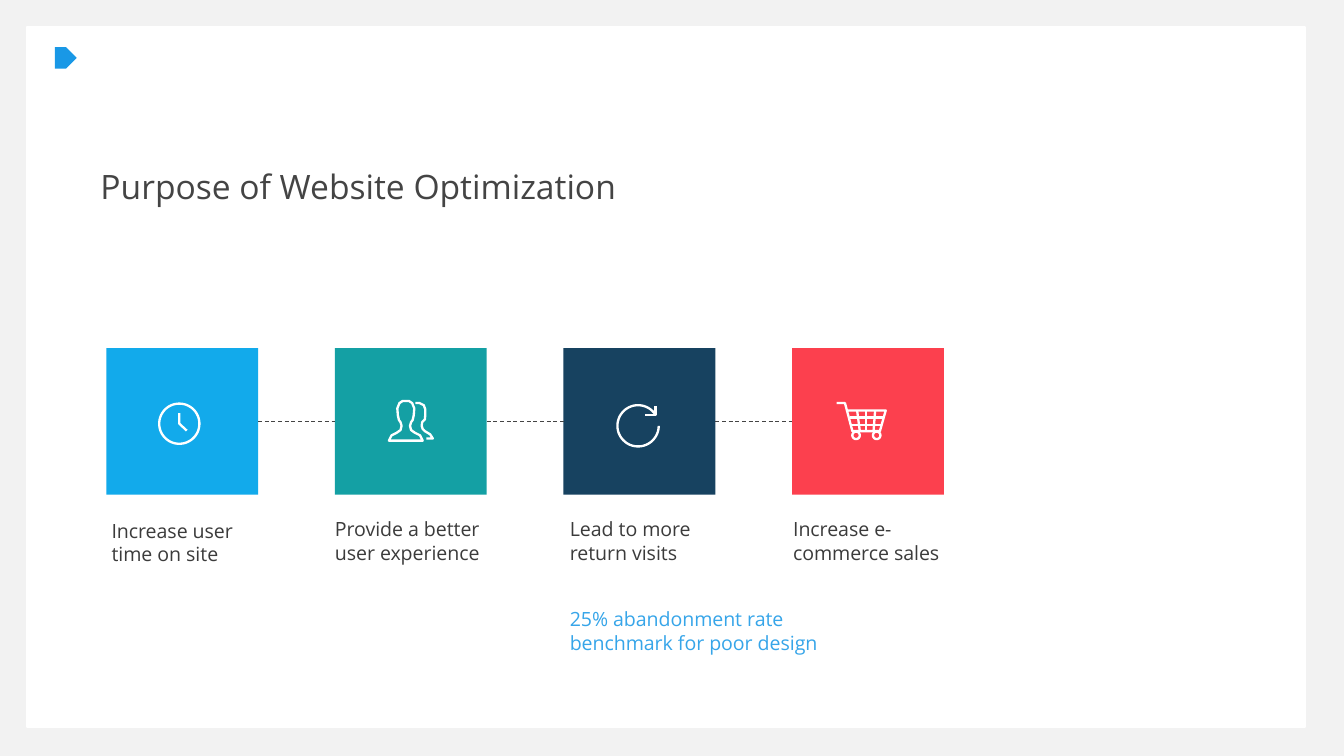
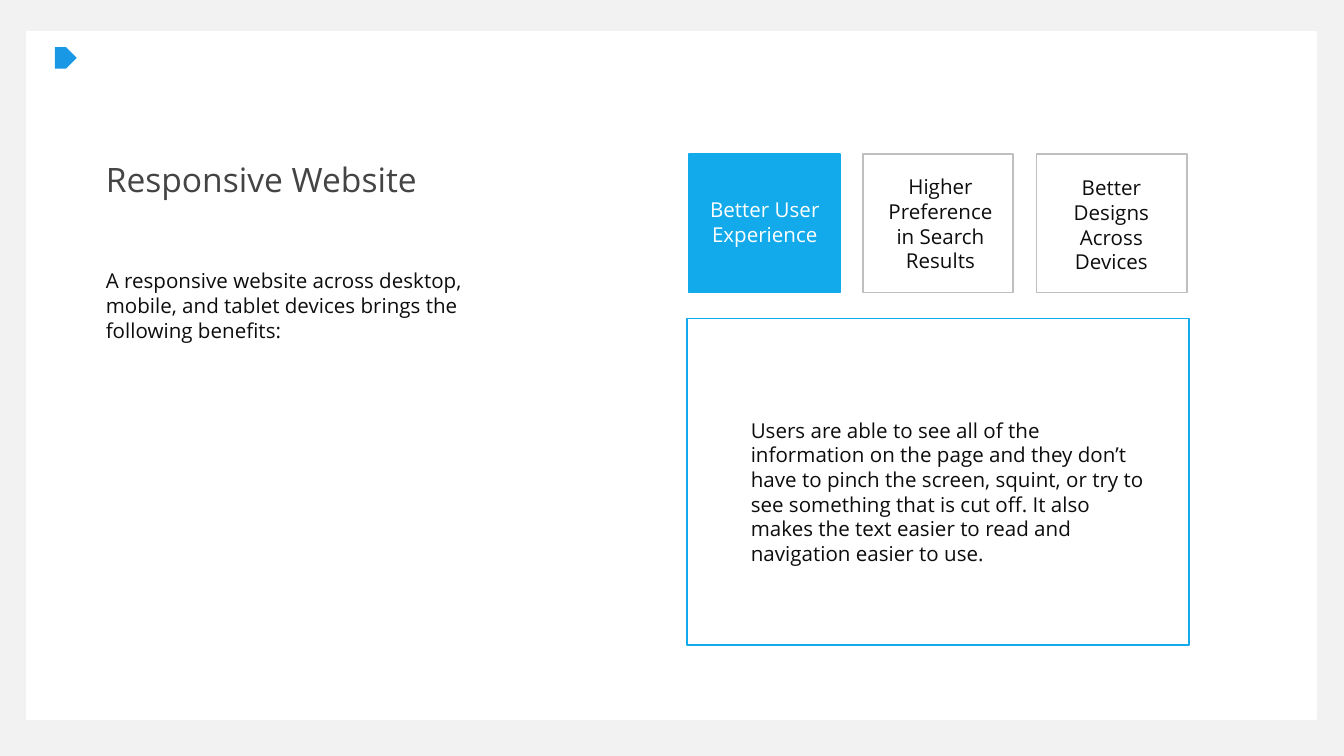
import math
from dataclasses import dataclass

from lxml import etree
from pptx import Presentation
from pptx import util as u
from pptx.dml import color
from pptx.enum import dml, shapes, text
from pptx.oxml import ns


@dataclass(frozen=True)
class Theme:
    font: str = "Open Sans"
    backdrop: str = "F2F2F2"
    white: str = "FFFFFF"
    blue: str = "12AAEB"
    mark: str = "1998E6"
    teal: str = "14A0A4"
    navy: str = "174260"
    red: str = "FC404E"
    heading: str = "444444"
    caption: str = "3B3B3B"
    body: str = "0D0D0D"
    note: str = "36A5E9"
    border: str = "BFBFBF"
    title_size: float = 18
    caption_size: float = 10.5
    body_size: float = 11
    thin: float = 0.5
    outline: float = 1
    stroke: float = 1.25


THEME = Theme()


def rgb(value):
    return color.RGBColor.from_string(value)


def apply_format(target, values):
    for name, value in values.items():
        setattr(target, name, value)


def place(box):
    return [u.Cm(length) for length in box]


def shift(box, left, top):
    return (box[0] + left, box[1] + top, *box[2:])


def paint(shape, fill=None, line=None, width=THEME.outline):
    shape.shadow.inherit = False
    if fill:
        shape.fill.solid()
        shape.fill.fore_color.rgb = rgb(fill)
    else:
        shape.fill.background()
    if line:
        shape.line.color.rgb = rgb(line)
        shape.line.width = u.Pt(width)
    else:
        shape.line.fill.background()


def add_block(page, box, fill=None, line=None, kind=shapes.MSO_SHAPE.RECTANGLE):
    block = page.shapes.add_shape(kind, *place(box))
    paint(block, fill, line)
    return block


def add_words(page, box, words, ink, size, centred=False, spacing=None):
    frame = page.shapes.add_textbox(*place(box)).text_frame
    apply_format(frame, {"word_wrap": True,
                         "auto_size": text.MSO_AUTO_SIZE.SHAPE_TO_FIT_TEXT})
    para = frame.paragraphs[0]
    apply_format(para, {
        "alignment": text.PP_ALIGN.CENTER if centred else text.PP_ALIGN.LEFT,
        "line_spacing": spacing})
    span = para.add_run()
    span.text = words
    apply_format(span.font, {"name": THEME.font, "size": u.Pt(size)})
    span.font.color.rgb = rgb(ink)


def add_link(page, start, end):
    link = page.shapes.add_connector(shapes.MSO_CONNECTOR.STRAIGHT, 0, 0, 0, 0)
    link.begin_connect(start, 3)
    link.end_connect(end, 1)
    apply_format(link.line, {"width": u.Pt(THEME.thin),
                             "dash_style": dml.MSO_LINE.DASH})
    link.line.color.rgb = rgb(THEME.heading)
    etree.SubElement(link._element.spPr, ns.qn("a:effectLst"))


def ring(x, y, radius, sweep=360):
    angles = [math.radians(sweep * step / 60) for step in range(61)]
    return [(x + radius * math.cos(a), y + radius * math.sin(a)) for a in angles]


def clock_icon():
    return [ring(1.38, 1.43, 0.38), [(1.38, 1.23), (1.38, 1.43), (1.52, 1.56)]]


def people_icon():
    half = [(1.02, 1.75), (1.07, 1.65), (1.17, 1.6), (1.24, 1.55), (1.26, 1.47),
            (1.24, 1.4), (1.21, 1.36), (1.19, 1.27), (1.18, 1.14), (1.22, 1.04),
            (1.28, 1)]
    front = half + [(2.68 - x, y) for x, y in reversed(half)] + half[:1]
    back = [(1.52, 1.04), (1.6, 1.04), (1.68, 1.08), (1.71, 1.16), (1.71, 1.26),
            (1.7, 1.35), (1.65, 1.4), (1.64, 1.47), (1.66, 1.53), (1.7, 1.57),
            (1.8, 1.63), (1.85, 1.71), (1.73, 1.71)]
    return [front, back]


def refresh_icon():
    return [ring(1.41, 1.47, 0.39, 325), [(1.55, 1.27), (1.74, 1.27), (1.74, 1.09)]]


def cart_icon():
    basket = [(0.84, 1.04), (1, 1.04), (1.14, 1.57), (1.66, 1.57), (1.77, 1.18),
              (1.05, 1.18)]
    rows = [[(1.09, 1.31), (1.73, 1.31)], [(1.12, 1.45), (1.7, 1.45)]]
    columns = [[(top, 1.18), (foot, 1.57)]
               for top, foot in ((1.23, 1.28), (1.4, 1.4), (1.57, 1.54))]
    wheels = [ring(x, 1.65, 0.07) for x in (1.21, 1.6)]
    return [basket, *rows, *columns, *wheels]


def add_icon(page, box, contours):
    outlines = [[(u.Cm(box[0] + x), u.Cm(box[1] + y)) for x, y in contour]
                for contour in contours]
    builder = page.shapes.build_freeform(*outlines[0][0])
    for outline in outlines:
        builder.move_to(*outline[0])
        builder.add_line_segments(outline[1:], close=False)
    paint(builder.convert_to_shape(), line=THEME.white, width=THEME.stroke)


def start_page(deck, panel, title, title_box):
    page = deck.slides.add_slide(deck.slide_layouts[6])
    add_block(page, panel, THEME.white, THEME.white)
    add_block(page, (1.04, 0.89, 0.41, 0.41), THEME.mark,
              kind=shapes.MSO_SHAPE.PENTAGON)
    add_words(page, title_box, title, THEME.heading, THEME.title_size, spacing=0.9)
    return page


def add_purpose_row(page, box):
    left, top, width, height = box
    pitch = 4.32
    purposes = [
        (THEME.blue, clock_icon, "Increase user time on site", (-0.15, 0.33, 3.12)),
        (THEME.teal, people_icon, "Provide a better user experience",
         (-0.25, 0.3, 3.73)),
        (THEME.navy, refresh_icon, "Lead to more return visits", (-0.13, 0.3, 3.51)),
        (THEME.red, cart_icon, "Increase e-commerce sales", (-0.23, 0.3, 3.73)),
    ]
    tiles = []
    for index, (fill, icon, words, (offset, gap, extent)) in enumerate(purposes):
        tile_box = (left + index * pitch, top, width, height)
        tiles.append(add_block(page, tile_box, fill))
        add_icon(page, tile_box, icon())
        caption_box = shift((offset, height + gap, extent, 1.14), *tile_box[:2])
        add_words(page, caption_box, words, THEME.caption, THEME.caption_size)
    for start, end in zip(tiles, tiles[1:]):
        add_link(page, start, end)


def build_purpose(deck):
    page = start_page(deck, (0.51, 0.51, 24.16, 13.23),
                      "Purpose of Website Optimization", (1.65, 3.1, 10.29, 0.94))
    add_purpose_row(page, (2.01, 6.58, 2.87, 2.77))
    add_words(page, (10.52, 11.35, 5.54, 1.19),
              "25% abandonment rate benchmark for poor design",
              THEME.note, THEME.caption_size)


def add_benefit_cards(page, box):
    left, top, width, height = box
    pitch = 3.28
    benefits = [
        ("Better User Experience", THEME.blue, THEME.blue, THEME.white,
         (-0.2, 0.69, 3.25, 1.19)),
        ("Higher Preference in Search Results", None, THEME.border, THEME.body,
         (0.13, 0.26, 2.67, 2.13)),
        ("Better Designs Across Devices", None, THEME.border, THEME.body,
         (-0.07, 0.28, 2.97, 2.13)),
    ]
    for index, (words, fill, line, ink, label_box) in enumerate(benefits):
        card_left = left + index * pitch
        add_block(page, (card_left, top, width, height), fill, line)
        add_words(page, shift(label_box, card_left, top), words, ink,
                  THEME.body_size, centred=True)


def add_detail(page, box):
    add_block(page, box, line=THEME.blue)
    add_words(page, shift((0.96, 1.75, 8.08, 3.07), *box[:2]),
              "Users are able to see all of the information on the page and they "
              "don’t have to pinch the screen, squint, or try to see something "
              "that is cut off. It also makes the text easier to read and "
              "navigation easier to use.", THEME.body, THEME.body_size)


def build_responsive(deck):
    page = start_page(deck, (0.51, 0.61, 24.36, 12.98),
                      "Responsive Website", (1.75, 2.97, 8, 0.94))
    add_words(page, (1.75, 4.95, 8.36, 1.68),
              "A responsive website across desktop, mobile, and tablet devices "
              "brings the following benefits:", THEME.body, THEME.body_size)
    add_benefit_cards(page, (13.03, 2.91, 2.84, 2.62))
    add_detail(page, (12.98, 6.02, 9.5, 6.17))


def main():
    deck = Presentation()
    apply_format(deck, {"slide_width": u.Cm(25.4), "slide_height": u.Cm(14.29)})
    backdrop = deck.slide_master.background.fill
    backdrop.solid()
    backdrop.fore_color.rgb = rgb(THEME.backdrop)
    build_purpose(deck)
    build_responsive(deck)
    deck.save("out.pptx")


if __name__ == "__main__":
    main()
